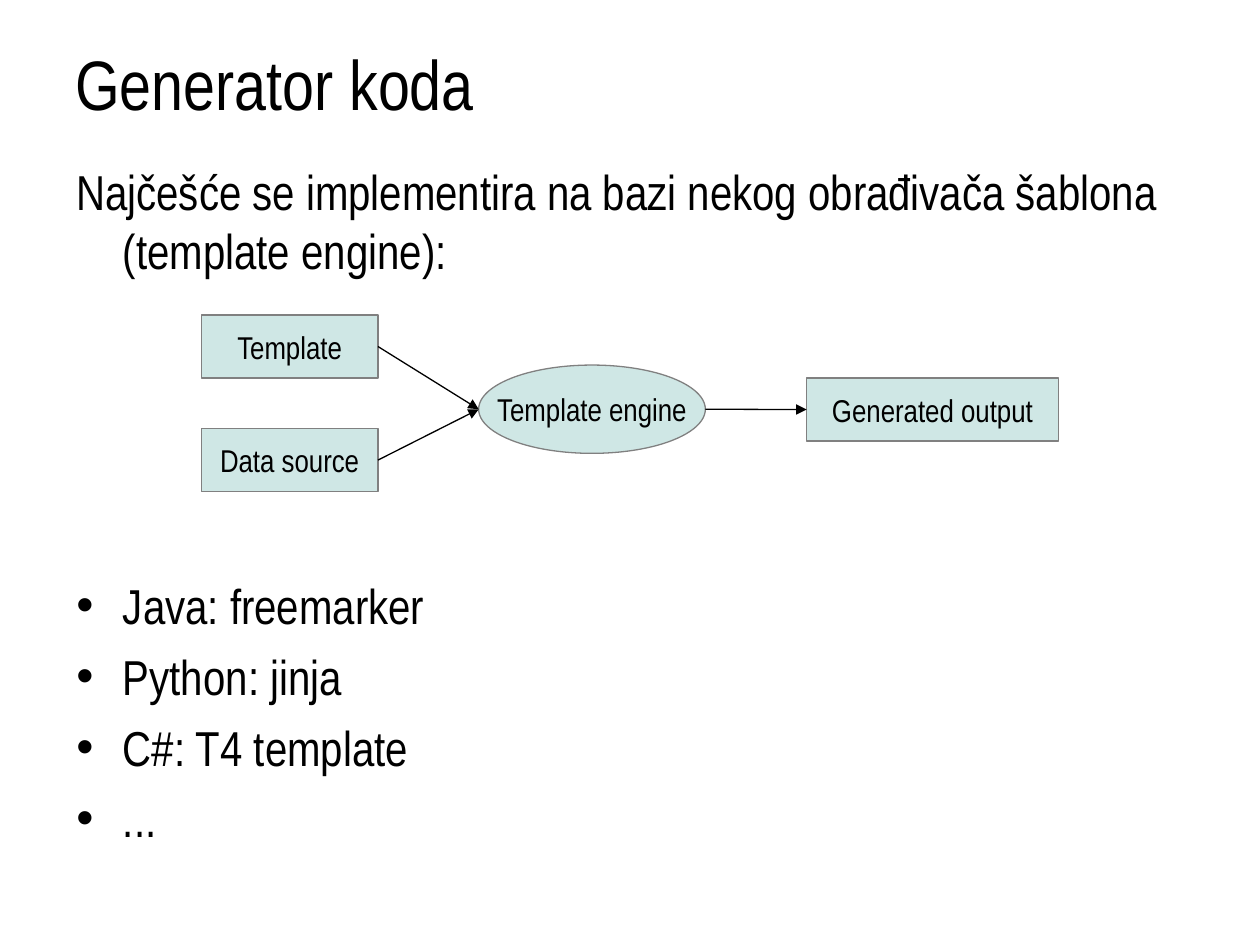
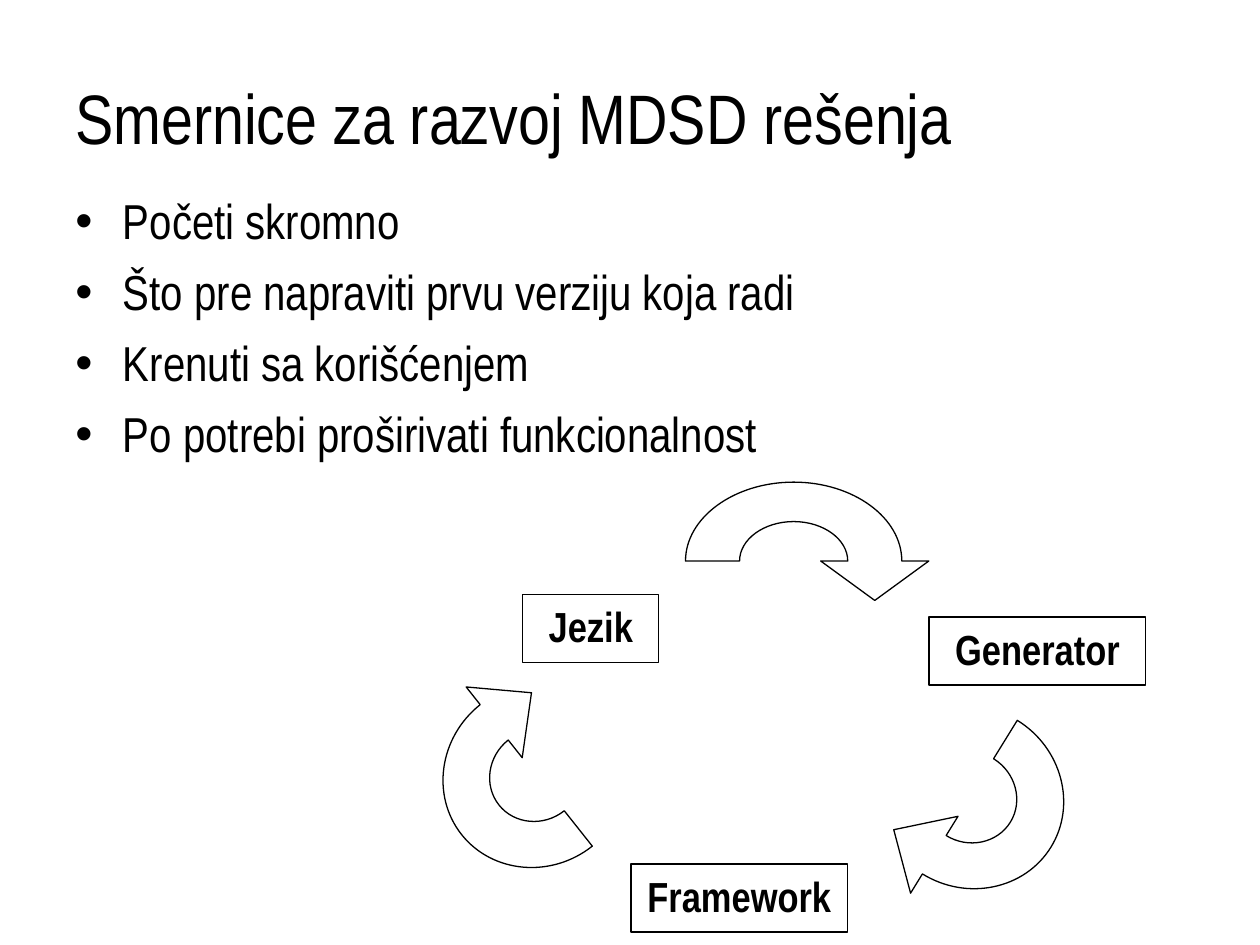
"""Build two slides on code generators and guidelines for MDSD solutions."""
from dataclasses import dataclass

from lxml import etree
from pptx import Presentation
from pptx.dml.color import RGBColor
from pptx.enum.shapes import MSO_CONNECTOR, MSO_SHAPE
from pptx.enum.text import MSO_ANCHOR, PP_ALIGN
from pptx.oxml.ns import qn
from pptx.util import Cm, Pt

STRAIGHT = MSO_CONNECTOR.STRAIGHT
PROCESS, ELLIPSE, RECTANGLE = (
    MSO_SHAPE.FLOWCHART_PROCESS, MSO_SHAPE.FLOWCHART_CONNECTOR, MSO_SHAPE.RECTANGLE)
TOP, MIDDLE = MSO_ANCHOR.TOP, MSO_ANCHOR.MIDDLE
LEFT, CENTER = PP_ALIGN.LEFT, PP_ALIGN.CENTER

FONT = "Arial Narrow"
BLACK, WHITE, GREY, MINT = "000000", "FFFFFF", "808080", "CFE7E5"
MARGIN, CONTENT_WIDTH = 1.27, 22.86
INDENT = 0.96
ITEM_SPACE = 7
DIAGRAM_SPACE = 169
QUARTER = 0.55

TITLE_FORMAT = {"name": FONT, "size": Pt(40)}
BODY_FORMAT = {"name": FONT, "size": Pt(28)}
STEP_FORMAT = {"name": FONT, "size": Pt(18)}
CYCLE_FORMAT = {"name": FONT, "size": Pt(24), "bold": True}
STEP_FRAME = {"word_wrap": False, "vertical_anchor": MIDDLE}
CYCLE_FRAME = {"word_wrap": True, "vertical_anchor": TOP}


@dataclass(frozen=True)
class Node:
    """A labelled step, with its place in centimetres."""
    label: str
    left: float
    top: float
    width: float
    height: float
    outline: int = PROCESS

    @property
    def entry(self) -> tuple[float, float]:
        """Return the middle of the left side."""
        return self.left, self.top + self.height / 2

    @property
    def exit(self) -> tuple[float, float]:
        """Return the middle of the right side."""
        return self.left + self.width, self.top + self.height / 2


@dataclass(frozen=True)
class Turn:
    """A half-ring arrow: centre and radii in centimetres, turned by degrees."""
    x: float
    y: float
    radius_x: float
    radius_y: float
    angle: float = 0


@dataclass(frozen=True)
class Item:
    """A paragraph of the body text."""
    text: str
    bullet: bool = True
    space: float = ITEM_SPACE


TEMPLATE = Node("Template", 4.06, 6.35, 3.56, 1.27)
DATA_SOURCE = Node("Data source", 4.06, 8.64, 3.56, 1.27)
ENGINE = Node("Template engine", 9.65, 7.36, 4.57, 1.78, ELLIPSE)
OUTPUT = Node("Generated output", 16.26, 7.62, 5.08, 1.27)
STEPS = (TEMPLATE, DATA_SOURCE, ENGINE, OUTPUT)
FLOWS = ((ENGINE, OUTPUT), (TEMPLATE, ENGINE), (DATA_SOURCE, ENGINE))

CYCLE = (
    Node("Jezik", 10.54, 11.99, 2.74, 1.37, RECTANGLE),
    Node("Framework", 12.72, 17.42, 4.37, 1.37, RECTANGLE),
    Node("Generator", 18.73, 12.44, 4.37, 1.37, RECTANGLE),
)
TURNS = (
    Turn(16, 11.31, 2.18, 1.59),
    Turn(19.55, 16.07, 1.82, 1.92, 121.7),
    Turn(10.81, 15.63, 1.82, 1.92, 231.6),
)

GENERATOR_ITEMS = (
    Item("Najčešće se implementira na bazi nekog obrađivača šablona (template engine):",
         bullet=False),
    Item("Java: freemarker", space=DIAGRAM_SPACE),
    Item("Python: jinja"),
    Item("C#: T4 template"),
    Item("..."),
)
GUIDELINES = (
    Item("Početi skromno"),
    Item("Što pre napraviti prvu verziju koja radi"),
    Item("Krenuti sa korišćenjem"),
    Item("Po potrebi proširivati funkcionalnost"),
)


def rgb(value: str) -> RGBColor:
    """Turn a hex string into a colour."""
    return RGBColor.from_string(value)


def apply(target, values: dict) -> None:
    """Set each format value on the target."""
    for name, value in values.items():
        setattr(target, name, value)


def write(paragraph, text: str, font_format: dict, align=LEFT) -> None:
    """Add black text to a paragraph."""
    paragraph.alignment = align
    run = paragraph.add_run()
    run.text = text
    apply(run.font, font_format)
    run.font.color.rgb = rgb(BLACK)


def add_frame(slide, top: float, height: float, anchor):
    """Add a text area as wide as the content and return its frame."""
    area = slide.shapes.add_textbox(Cm(MARGIN), Cm(top), Cm(CONTENT_WIDTH), Cm(height))
    apply(area.text_frame, {"word_wrap": True, "vertical_anchor": anchor})
    return area.text_frame


def add_title(slide, text: str, top: float, height: float) -> None:
    """Add the slide title."""
    write(add_frame(slide, top, height, MIDDLE).paragraphs[0], text, TITLE_FORMAT)


def add_body(slide, items: tuple[Item, ...], top: float, height: float,
             hanging: float = INDENT) -> None:
    """Add body paragraphs with a hanging indent."""
    frame = add_frame(slide, top, height, TOP)
    for index, item in enumerate(items):
        paragraph = frame.add_paragraph() if index else frame.paragraphs[0]
        properties = paragraph._p.get_or_add_pPr()
        properties.set("marL", str(Cm(INDENT)))
        properties.set("indent", str(-Cm(hanging)))
        if item.bullet:
            color = etree.SubElement(properties, qn("a:buClr"))
            etree.SubElement(color, qn("a:srgbClr"), val=BLACK)
            etree.SubElement(properties, qn("a:buFont"), typeface="Arial")
            etree.SubElement(properties, qn("a:buChar"), char="•")
        if index:
            paragraph.space_before = Pt(item.space)
        write(paragraph, item.text, BODY_FORMAT)


def paint(shape, fill: str, line: str) -> None:
    """Give a shape a flat fill and a thin outline."""
    shape.shadow.inherit = False
    shape.fill.solid()
    shape.fill.fore_color.rgb = rgb(fill)
    shape.line.color.rgb = rgb(line)
    shape.line.width = Pt(0.75)


def add_node(slide, node: Node, fill: str, line: str,
             font_format: dict, frame_format: dict) -> None:
    """Add a labelled step."""
    place = map(Cm, (node.left, node.top, node.width, node.height))
    shape = slide.shapes.add_shape(node.outline, *place)
    paint(shape, fill, line)
    apply(shape.text_frame, frame_format)
    write(shape.text_frame.paragraphs[0], node.label, font_format, CENTER)


def add_flow(slide, source: Node, target: Node) -> None:
    """Add an arrow from one step to the next."""
    ends = map(Cm, source.exit + target.entry)
    flow = slide.shapes.add_connector(STRAIGHT, *ends)
    flow.line.color.rgb = rgb(BLACK)
    flow.line.width = Pt(0.75)
    etree.SubElement(flow.get_or_add_ln(), qn("a:tailEnd"), type="triangle")
    etree.SubElement(flow.element.spPr, qn("a:effectLst"))


def add_turn(slide, turn: Turn) -> None:
    """Add a half-ring arrow whose inner radius is half the outer one."""
    arc = [(1, 0), (1, -QUARTER), (QUARTER, -1), (0, -1),
           (-QUARTER, -1), (-1, -QUARTER), (-1, 0)]
    inner = [(x / 2, y / 2) for x, y in arc]
    head = [(1.25, 0), (0.75, 0.5), (0.25, 0)]
    points = [(Cm(turn.x + x * turn.radius_x), Cm(turn.y + y * turn.radius_y))
              for x, y in inner + arc[::-1] + head]
    builder = slide.shapes.build_freeform(*points[0])
    builder.add_line_segments(points[1:], close=True)
    arrow = builder.convert_to_shape()
    paint(arrow, WHITE, BLACK)

    width, height = Cm(2 * turn.radius_x), Cm(2 * turn.radius_y)
    apply(arrow, {"width": width, "height": height, "rotation": turn.angle})
    outline = next(arrow.element.iter(qn("a:path")))
    apply(outline, {"w": width, "h": height})
    segments = outline.findall(qn("a:lnTo"))
    for start in (0, 3, 7, 10):
        curve = etree.Element(qn("a:cubicBezTo"))
        outline.replace(segments[start], curve)
        for segment in segments[start:start + 3]:
            curve.append(segment[0])
        for segment in segments[start + 1:start + 3]:
            outline.remove(segment)


def build_generator(slide) -> None:
    """Draw the code generator slide."""
    add_title(slide, "Generator koda", 0.46, 2.39)
    add_body(slide, GENERATOR_ITEMS, 3.14, 14.68, hanging=0.94)
    for step in STEPS:
        add_node(slide, step, MINT, GREY, STEP_FORMAT, STEP_FRAME)
    for source, target in FLOWS:
        add_flow(slide, source, target)


def build_guidelines(slide) -> None:
    """Draw the guidelines slide with its development cycle."""
    add_title(slide, "Smernice za razvoj MDSD rešenja", 0.76, 3.18)
    add_body(slide, GUIDELINES, 3.72, 14.55)
    for node in CYCLE:
        add_node(slide, node, WHITE, BLACK, CYCLE_FORMAT, CYCLE_FRAME)
    for turn in TURNS:
        add_turn(slide, turn)


def main() -> None:
    """Build and save the presentation."""
    presentation = Presentation()
    apply(presentation, {"slide_width": Cm(25.4), "slide_height": Cm(19.05)})
    blank = presentation.slide_layouts[6]
    for build in (build_generator, build_guidelines):
        build(presentation.slides.add_slide(blank))
    presentation.save("out.pptx")


if __name__ == "__main__":
    main()
